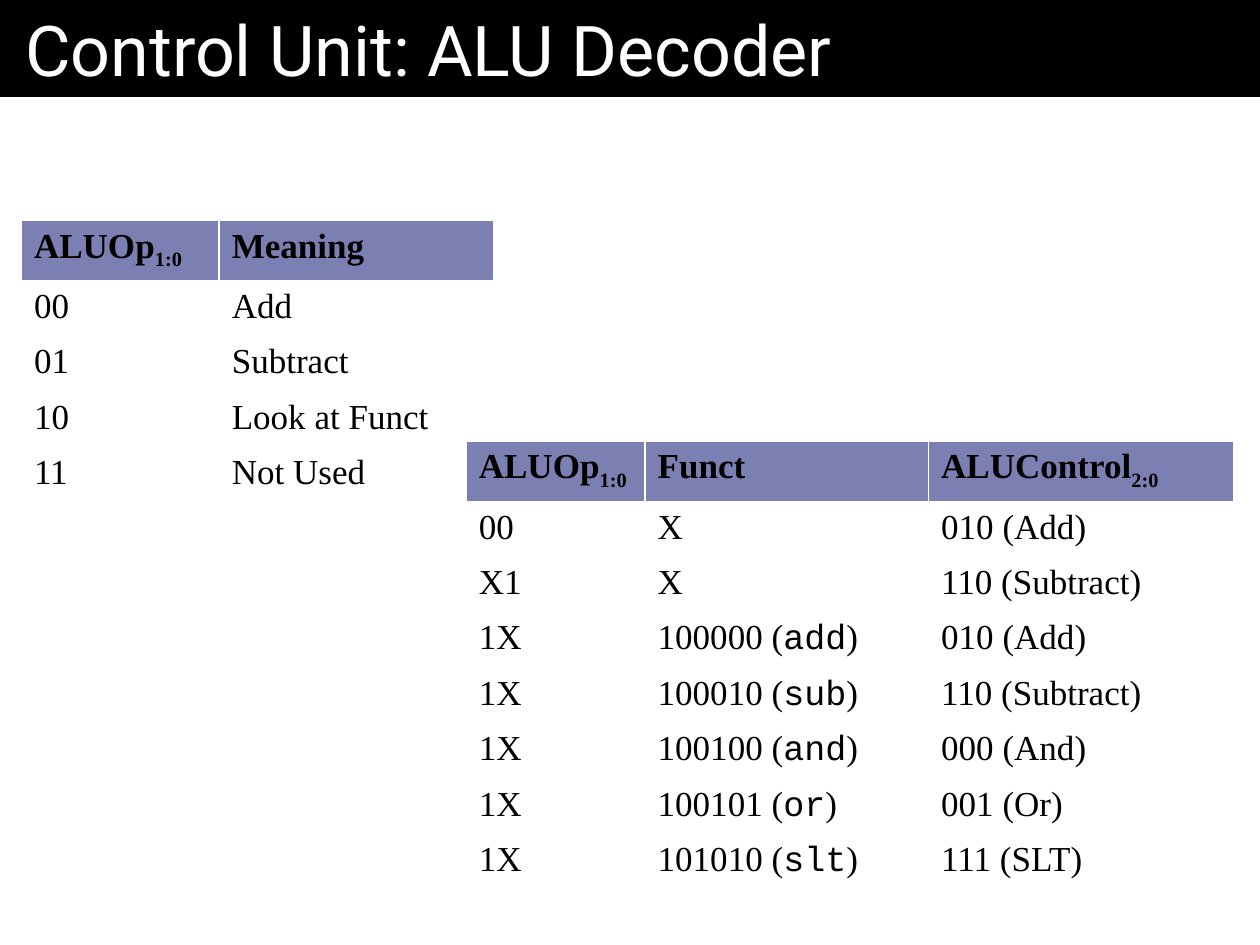
from lxml import etree
from pptx import Presentation
from pptx.dml.color import RGBColor
from pptx.enum import shapes, text
from pptx.oxml import parse_xml
from pptx.oxml.ns import nsdecls
from pptx.util import Inches, Pt

TITLE = "Control Unit: ALU Decoder"
BLACK, WHITE, HEAD = "000000", "FFFFFF", "7B7FB1"
SERIF, MONO = "Times New Roman", "Courier New"
HEAD_H, ROW_H = 0.48, 0.44

# Text between bars is a subscript in the header row and code below it.
TABLES = [
    {"left": 0.17, "top": 1.75, "cols": [1.57, 2.18], "rows": [
        ("ALUOp|1:0|", "Meaning"),
        ("00", "Add"),
        ("01", "Subtract"),
        ("10", "Look at Funct"),
        ("11", "Not Used"),
    ]},
    {"left": 3.7, "top": 3.5, "cols": [1.42, 2.25, 2.42], "rows": [
        ("ALUOp|1:0|", "Funct", "ALUControl|2:0|"),
        ("00", "X", "010 (Add)"),
        ("X1", "X", "110 (Subtract)"),
        ("1X", "100000 (|add|)", "010 (Add)"),
        ("1X", "100010 (|sub|)", "110 (Subtract)"),
        ("1X", "100100 (|and|)", "000 (And)"),
        ("1X", "100101 (|or|)", "001 (Or)"),
        ("1X", "101010 (|slt|)", "111 (SLT)"),
    ]},
]


def color(value):
    return RGBColor.from_string(value)


def style(run, font, size, tint, bold=False):
    run.font.name, run.font.size, run.font.bold = font, Pt(size), bold
    run.font.color.rgb = color(tint)


def add_title(slide):
    bar = slide.shapes.add_shape(shapes.MSO_SHAPE.RECTANGLE, 0, 0, Inches(10), Inches(0.77))
    bar.shadow.inherit = False
    bar.fill.solid()
    bar.fill.fore_color.rgb = color(BLACK)
    bar.line.fill.background()
    frame = bar.text_frame
    frame.margin_left = frame.margin_right = Inches(0.2)
    frame.vertical_anchor = text.MSO_ANCHOR.MIDDLE
    frame.text = TITLE
    line = frame.paragraphs[0]
    line.alignment = text.PP_ALIGN.LEFT
    style(line.runs[0], "Roboto", 40, WHITE)


def add_borders(cell):
    """Put thin white lines ahead of the cell's fill, as the schema asks."""
    props = cell._tc.get_or_add_tcPr()
    for spot, side in enumerate(("lnL", "lnR", "lnT", "lnB")):
        props.insert(spot, parse_xml(
            f'<a:{side} {nsdecls("a")} w="{Pt(1.08)}"><a:solidFill>'
            f'<a:srgbClr val="{WHITE}"/></a:solidFill></a:{side}>'))


def fill_cell(cell, words, header):
    if header:
        cell.fill.solid()
        cell.fill.fore_color.rgb = color(HEAD)
    else:
        cell.fill.background()
    line = cell.text_frame.paragraphs[0]
    for part, chunk in enumerate(words.split("|")):
        if not chunk:
            continue
        special = part % 2 == 1
        run = line.add_run()
        run.text = chunk
        style(run, MONO if special and not header else SERIF, 20, BLACK, header)
        if special and header:
            run.font._element.set("baseline", "-25000")
    add_borders(cell)


def add_table(slide, data):
    cols, rows = data["cols"], data["rows"]
    heights = [HEAD_H] + [ROW_H] * (len(rows) - 1)
    table = slide.shapes.add_table(
        len(rows), len(cols), Inches(data["left"]), Inches(data["top"]),
        Inches(sum(cols)), Inches(sum(heights))).table
    table.horz_banding = False
    for col, width in zip(table.columns, cols):
        col.width = Inches(width)
    for r, (row, height) in enumerate(zip(rows, heights)):
        table.rows[r].height = Inches(height)
        for c, words in enumerate(row):
            fill_cell(table.cell(r, c), words, r == 0)


def main():
    deck = Presentation()
    deck.slide_width, deck.slide_height = Inches(10), Inches(7.5)
    slide = deck.slides.add_slide(deck.slide_layouts[6])
    add_title(slide)
    for data in TABLES:
        add_table(slide, data)
    deck.save("out.pptx")


if __name__ == "__main__":
    main()
